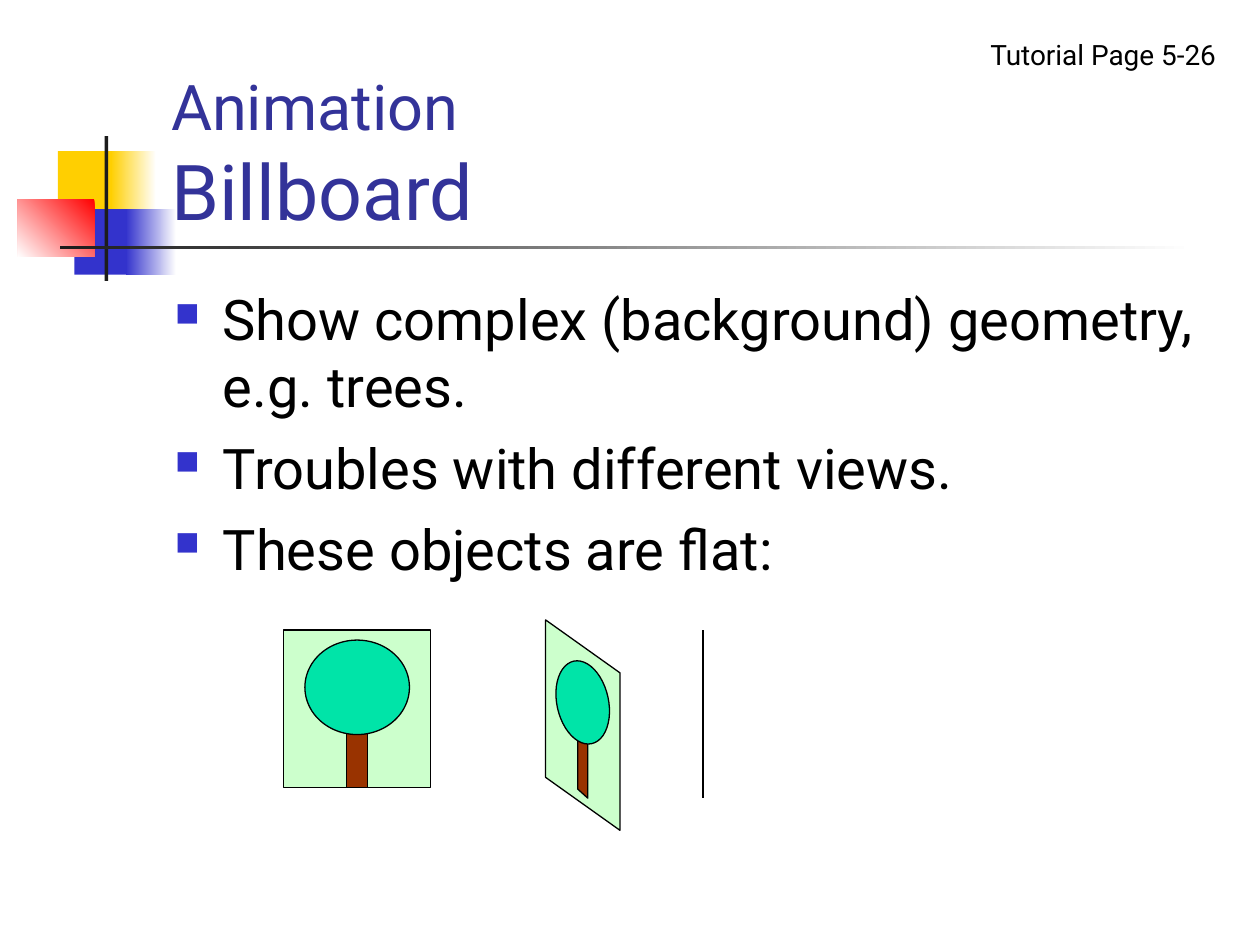
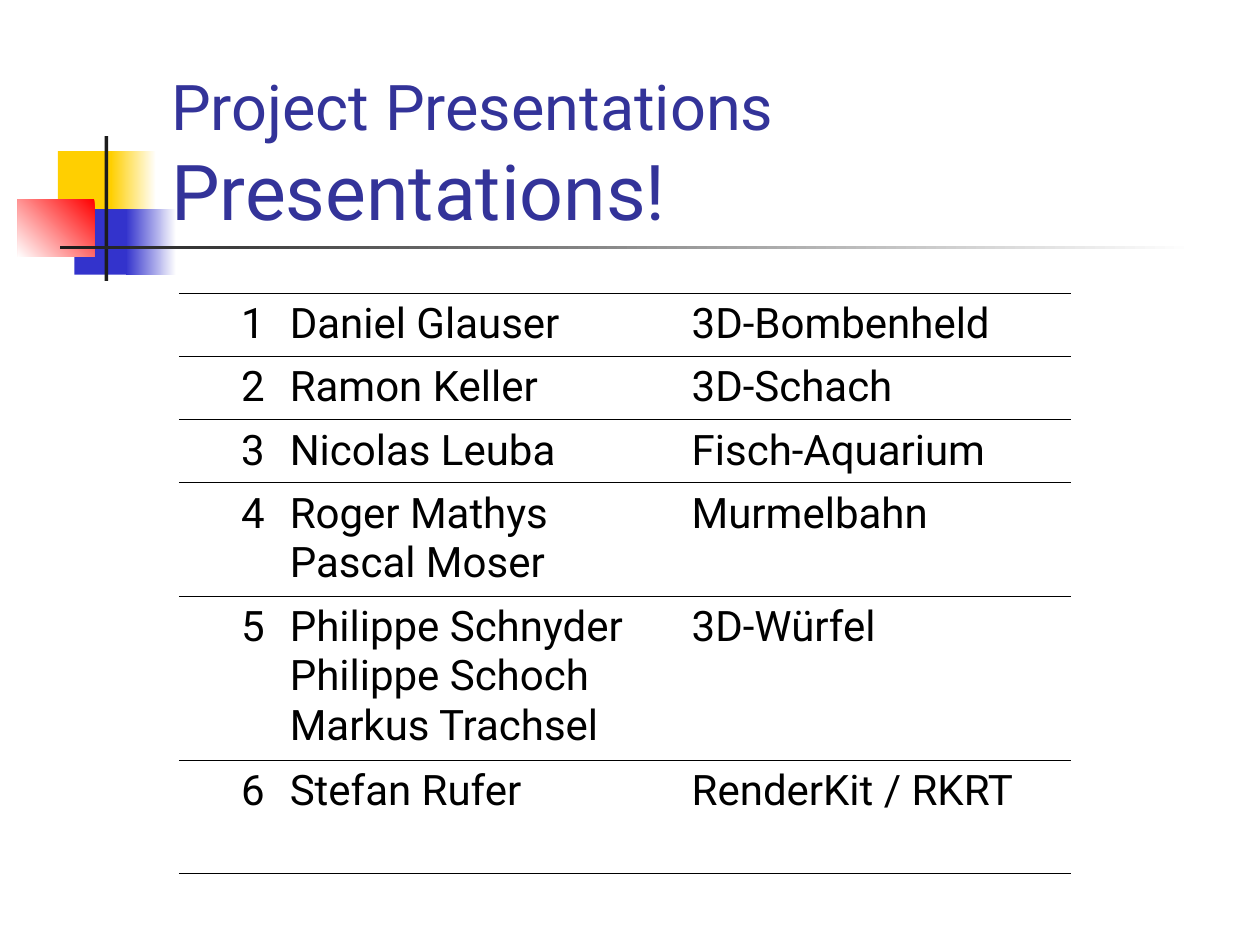
from dataclasses import dataclass

from lxml.etree import SubElement
from pptx import Presentation
from pptx.dml.color import RGBColor as RGB
from pptx.enum.shapes import MSO_CONNECTOR, MSO_SHAPE as SHAPE
from pptx.enum.text import MSO_ANCHOR, PP_ALIGN as ALIGN
from pptx.oxml import parse_xml
from pptx.oxml.ns import nsdecls, qn
from pptx.util import Inches, Pt


@dataclass(frozen=True)
class Theme:
    font: str = "Roboto"
    title: str = "333399"
    ink: str = "000000"
    white: str = "FFFFFF"
    yellow: str = "FFCF01"
    blue: str = "3333CC"
    red: str = "FF0000"
    bar: str = "1C1C1C"
    panel: str = "CCFFCC"
    trunk: str = "993300"
    crown: str = "00E4A8"
    topic_size: int = 36
    title_size: int = 44
    body_size: int = 32
    table_size: int = 24
    page_size: int = 16
    outline: float = 0.75
    rule: float = 0.45


THEME = Theme()


def add_figure(slide, kind, box, colors, angle=0, outlined=False):
    """Add a shape filled with one color, or with a two-color gradient."""
    figure = slide.shapes.add_shape(kind, *map(Inches, box))
    figure.shadow.inherit = False
    if len(colors) == 1:
        figure.fill.solid()
        figure.fill.fore_color.rgb = RGB.from_string(colors[0])
    else:
        figure.fill.gradient()
        figure.fill.gradient_angle = angle
        for stop, color in zip(figure.fill.gradient_stops, colors):
            stop.color.rgb = RGB.from_string(color)
    if outlined:
        figure.line.color.rgb = RGB.from_string(THEME.ink)
        figure.line.width = Pt(THEME.outline)
    else:
        figure.line.fill.background()
    return figure


def write(paragraph, lines, color=THEME.ink, before=0):
    """Write (text, size) lines into one paragraph, separated by line breaks."""
    paragraph.space_before = Pt(before)
    for index, (text, size) in enumerate(lines):
        if index:
            paragraph.add_line_break()
        run = paragraph.add_run()
        run.text = text
        run.font.name = THEME.font
        run.font.size = Pt(size)
        run.font.color.rgb = RGB.from_string(color)


prs = Presentation()
prs.slide_width, prs.slide_height = Inches(10), Inches(7.5)

# Shared band and title
BAND = [
    ((0.46, 1.2, 0.48, 0.52), [THEME.yellow], 0),
    ((0.88, 1.2, 0.36, 0.52), [THEME.white, THEME.yellow], 180),
    ((0.59, 1.66, 0.46, 0.52), [THEME.blue], 0),
    ((1, 1.66, 0.4, 0.52), [THEME.white, THEME.blue], 180),
    ((0.14, 1.58, 0.61, 0.46), [THEME.red, THEME.white], 225),
    ((0.83, 1.08, 0.03, 1.15), [THEME.bar], 0),
    ((0.48, 1.95, 9, 0.03), [THEME.white, THEME.bar], 180),
]
TITLES = [("Animation", "Billboard"), ("Project Presentations", "Presentations!")]

slides = []
for topic, headline in TITLES:
    slide = prs.slides.add_slide(prs.slide_layouts[6])
    for box, colors, angle in BAND:
        add_figure(slide, SHAPE.RECTANGLE, box, colors, angle)
    title = slide.shapes.add_textbox(*map(Inches, (1.26, 0.67, 8.52, 1.25))).text_frame
    title.word_wrap = True
    title.vertical_anchor = MSO_ANCHOR.BOTTOM
    write(title.paragraphs[0],
          [(topic, THEME.topic_size), (headline, THEME.title_size)], THEME.title)
    slides.append(slide)
billboard, projects = slides

# Billboard: bullet points
POINTS = [
    "Show complex (background) geometry, e.g. trees.",
    "Troubles with different views.",
    "These objects are flat:",
]
body = billboard.shapes.add_textbox(*map(Inches, (1.29, 2.21, 8.5, 4.5))).text_frame
body.word_wrap = True
for index, point in enumerate(POINTS):
    paragraph = body.add_paragraph() if index else body.paragraphs[0]
    write(paragraph, [(point, THEME.body_size)], before=8)
    props = paragraph._p.get_or_add_pPr()
    props.set("marL", str(Inches(0.38)))
    props.set("indent", str(-Inches(0.38)))
    bullet_color = SubElement(props, qn("a:buClr"))
    SubElement(bullet_color, qn("a:srgbClr"), val=THEME.blue)
    SubElement(props, qn("a:buSzPct"), val="60000")
    SubElement(props, qn("a:buChar"), char="■")

# Billboard: the tree seen from the front, at an angle and edge-on
TREES = [
    (SHAPE.RECTANGLE, (2.25, 5, 1.17, 1.25), THEME.panel, 0, None),
    (SHAPE.PARALLELOGRAM, (3.79, 5.46, 1.67, 0.59), THEME.panel, 90, 0.712),
    (SHAPE.RECTANGLE, (2.75, 5.75, 0.17, 0.5), THEME.trunk, 0, None),
    (SHAPE.OVAL, (2.42, 5.08, 0.83, 0.75), THEME.crown, 0, None),
    (SHAPE.PARALLELOGRAM, (4.29, 5.96, 0.67, 0.08), THEME.trunk, 90, 0.899),
    (SHAPE.OVAL, (4.42, 5.24, 0.41, 0.67), THEME.crown, 347.7, None),
]
for kind, box, color, rotation, slant in TREES:
    part = add_figure(billboard, kind, box, [color], outlined=True)
    part.rotation = rotation
    if slant:
        part.adjustments[0] = slant

edge_view = billboard.shapes.add_connector(
    MSO_CONNECTOR.STRAIGHT, *map(Inches, (5.58, 5, 5.58, 6.33)))
edge_view.line.color.rgb = RGB.from_string(THEME.ink)
edge_view.line.width = Pt(THEME.outline)
SubElement(edge_view._element.spPr, qn("a:effectLst"))

page = billboard.shapes.add_textbox(*map(Inches, (7.58, 0.25, 2.17, 0.37))).text_frame
page.word_wrap = True
page.paragraphs[0].alignment = ALIGN.RIGHT
write(page.paragraphs[0], [("Tutorial Page 5-26", THEME.page_size)], before=10)

# Project presentations: numbered schedule
COLUMNS = [0.78, 3.19, 3.11]
PROJECTS = [
    (0.5, ["Daniel Glauser"], "3D-Bombenheld"),
    (0.5, ["Ramon Keller"], "3D-Schach"),
    (0.5, ["Nicolas Leuba"], "Fisch-Aquarium"),
    (0.9, ["Roger Mathys", "Pascal Moser"], "Murmelbahn"),
    (1.3, ["Philippe Schnyder", "Philippe Schoch", "Markus Trachsel"], "3D-Würfel"),
    (0.9, ["Stefan Rufer"], "RenderKit / RKRT"),
]
schedule = projects.shapes.add_table(
    len(PROJECTS), len(COLUMNS), Inches(1.42), Inches(2.33),
    Inches(sum(COLUMNS)), Inches(sum(height for height, _, _ in PROJECTS))).table
schedule.first_row = schedule.horz_banding = False
style_id = schedule._tbl.tblPr.find(qn("a:tableStyleId"))
style_id.text = "{2D5ABB26-0587-4C30-8999-92F81FD0307C}"  # no style, no grid
for column, width in zip(schedule.columns, COLUMNS):
    column.width = Inches(width)

for number, (height, students, project) in enumerate(PROJECTS, start=1):
    row = schedule.rows[number - 1]
    row.height = Inches(height)
    for cell, lines in zip(row.cells, ([str(number)], students, [project])):
        write(cell.text_frame.paragraphs[0],
              [(line, THEME.table_size) for line in lines], before=6)
        cell.fill.background()
        for position, side in enumerate(("lnT", "lnB")):
            border = parse_xml(
                f'<a:{side} {nsdecls("a")} w="{Pt(THEME.rule)}"><a:solidFill>'
                f'<a:srgbClr val="{THEME.ink}"/></a:solidFill></a:{side}>')
            cell._tc.get_or_add_tcPr().insert(position, border)
    row.cells[0].text_frame.paragraphs[0].alignment = ALIGN.RIGHT

prs.save("out.pptx")
